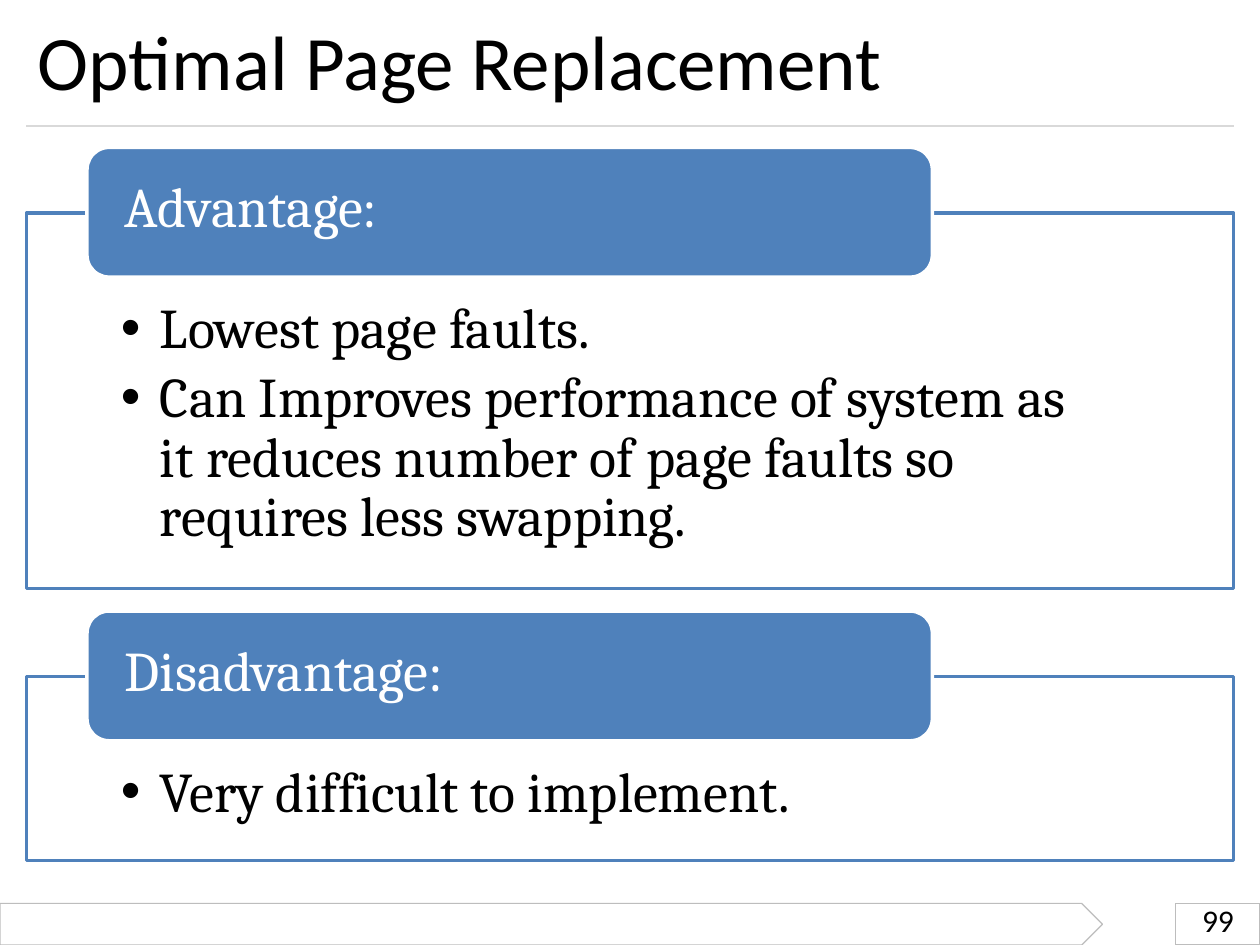
from pptx import Presentation
from pptx.dml.color import RGBColor
from pptx.enum.shapes import MSO_CONNECTOR, MSO_SHAPE
from pptx.oxml.ns import qn
from pptx.util import Inches, Pt
from lxml import etree

RECT = MSO_SHAPE.RECTANGLE
ROUND = MSO_SHAPE.ROUNDED_RECTANGLE
ARROW = MSO_SHAPE.PENTAGON
LINE = MSO_CONNECTOR.STRAIGHT


def color(code):
    return RGBColor.from_string(code)


def write(para, text, font="Cambria", size=32, ink="000000",
          before=0, gap=None, left=0, hang=0, bullet=False):
    para.text = text
    para.space_before = Pt(before)
    if gap:
        para.line_spacing = gap
    props = para._p.get_or_add_pPr()
    props.set("marL", str(Inches(left)))
    props.set("indent", str(Inches(-hang)))
    if bullet:
        etree.SubElement(props, qn("a:buFont")).set("typeface", "Arial")
        etree.SubElement(props, qn("a:buChar")).set("char", "•")
    for run in para.runs:
        run.font.name = font
        run.font.size = Pt(size)
        run.font.color.rgb = color(ink)


class Deck:
    blue, white, gray = "4F81BB", "FFFFFF", "BDBDBD"
    thin, thick = 0.72, 2.04

    def __init__(self):
        self.file = Presentation()
        self.file.slide_width = Inches(10)
        self.file.slide_height = Inches(7.5)
        self.slide = self.file.slides.add_slide(self.file.slide_layouts[6])

    def shape(self, kind, x, y, w, h, line, width, fill=None):
        item = self.slide.shapes.add_shape(
            kind, Inches(x), Inches(y), Inches(w), Inches(h))
        item.shadow.inherit = False
        if fill:
            item.fill.solid()
            item.fill.fore_color.rgb = color(fill)
        else:
            item.fill.background()
        item.line.color.rgb = color(line)
        item.line.width = Pt(width)
        return item

    def rule(self, x1, x2, y, ink):
        item = self.slide.shapes.add_connector(
            LINE, Inches(x1), Inches(y), Inches(x2), Inches(y))
        item.line.color.rgb = color(ink)
        item.line.width = Pt(self.thin)
        etree.SubElement(item._element.spPr, qn("a:effectLst"))

    def text(self, x, y, w, h, paras):
        box = self.slide.shapes.add_textbox(
            Inches(x), Inches(y), Inches(w), Inches(h))
        frame = box.text_frame
        frame.word_wrap = True
        frame.margin_left = frame.margin_right = frame.margin_bottom = 0
        frame.margin_top = Inches(0.01)
        for i, (words, style) in enumerate(paras):
            para = frame.add_paragraph() if i else frame.paragraphs[0]
            write(para, words, **style)

    def panel(self, top, high, head, points):
        """Outlined box with a heading tab over its top edge."""
        tab = 1.03
        self.shape(RECT, 0.21, top + 0.52, 9.58, high, self.blue, self.thick)
        label = self.shape(ROUND, 0.69, top, 6.71, tab,
                           self.white, self.thick, self.blue)
        label.adjustments[0] = 0.17
        paras = [(head, dict(ink=self.white, before=1.1, left=0.05))]
        for i, point in enumerate(points):
            paras.append((point, dict(before=6 if i else 31.1,
                                      gap=0.88 if i else None,
                                      left=0.33, hang=0.31, bullet=True)))
        self.text(0.94, top + 0.18, 7.87, high + 0.05, paras)


def main():
    deck = Deck()

    # Page frame
    deck.shape(RECT, 9.33, 7.17, 0.67, 0.33, deck.gray, deck.thin)
    deck.rule(0.21, 9.79, 1, "D9D9D9")
    deck.shape(ARROW, 0, 7.17, 8.75, 0.33, deck.gray, deck.thin)

    # Title
    deck.text(0.29, 0.1, 9.41, 0.76, [
        ("Optimal Page Replacement",
         dict(font="Calibri", size=44, before=1.1, left=0.01))])

    # Panels
    deck.panel(1.17, 2.98, "Advantage:", [
        "Lowest page faults.",
        "Can Improves performance of system as it reduces number of "
        "page faults so\vrequires less swapping."])
    deck.panel(4.85, 1.46, "Disadvantage:", ["Very difficult to implement."])

    # Page number
    deck.text(9.5, 7.19, 0.34, 0.28, [
        ("99", dict(font="Calibri", size=18, gap=Pt(18.1), left=0.04))])

    deck.file.save("out.pptx")


if __name__ == "__main__":
    main()
